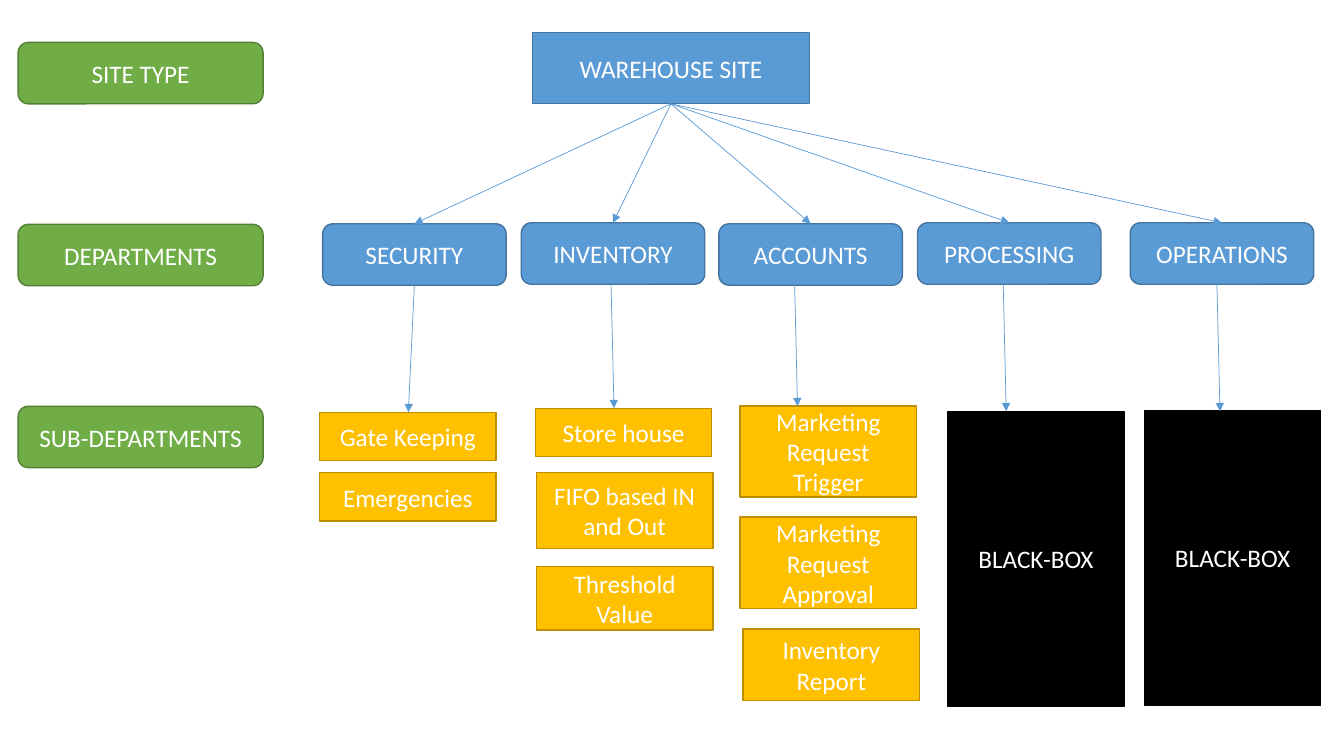
from dataclasses import dataclass
from typing import NamedTuple

from lxml.etree import SubElement
from pptx import Presentation
from pptx.dml.color import RGBColor as Color
from pptx.enum.shapes import MSO_CONNECTOR as Connector, MSO_SHAPE as Preset
from pptx.enum.text import MSO_ANCHOR as Anchor, PP_ALIGN as Align
from pptx.oxml.ns import qn
from pptx.util import Inches, Pt


@dataclass(frozen=True)
class Theme:
    font: str = "Calibri"
    text_size: float = 18
    outline: float = 1
    arrow_width: float = 0.5
    text: str = "FFFFFF"
    arrow: str = "5B9BD5"
    blue: tuple = ("5B9BD5", "43739E")
    green: tuple = ("70AD47", "538035")
    gold: tuple = ("FFC000", "BD8E00")
    black: tuple = ("000000", "000000")


class Department(NamedTuple):
    name: str
    left: float
    top: float
    arrow_start: tuple
    arrow_end: tuple
    colors: tuple
    units: list


THEME = Theme()
LEVEL_WIDTH, DEPARTMENT_WIDTH, UNIT_WIDTH = 2.43, 1.82, 1.75
ROUNDED_HEIGHT = 0.61
SITE_BOX = (5.28, 0.32, 2.75, 0.71)
LEVELS = ["SITE TYPE", "DEPARTMENTS", "SUB-DEPARTMENTS"]
LEVEL_TOP, LEVEL_PITCH = 0.42, 1.805

DEPARTMENTS = [
    Department("SECURITY", 3.2, 2.22, (4.11, 2.83), (4.05, 4.09), THEME.gold, [
        ("Gate Keeping", 3.17, 4.09, 0.48),
        ("Emergencies", 3.17, 4.69, 0.48),
    ]),
    Department("INVENTORY", 5.17, 2.21, (6.06, 2.79), (6.09, 4.05), THEME.gold, [
        ("Store house", 5.31, 4.05, 0.48),
        ("FIFO based IN and Out", 5.32, 4.69, 0.75),
        ("Threshold Value", 5.32, 5.62, 0.63),
    ]),
    Department("ACCOUNTS", 7.13, 2.22, (7.88, 2.77), (7.91, 4.03), THEME.gold, [
        ("Marketing Request Trigger", 7.34, 4.03, 0.9),
        ("Marketing\nRequest Approval", 7.34, 5.13, 0.91),
        ("Inventory Report", 7.37, 6.24, 0.71),
    ]),
    Department("PROCESSING", 9.1, 2.21, (9.95, 2.82), (9.98, 4.08), THEME.black, [
        ("BLACK-BOX", 9.4, 4.08, 2.93),
    ]),
    Department("OPERATIONS", 11.21, 2.21, (12.07, 2.82), (12.1, 4.08), THEME.black, [
        ("BLACK-BOX", 11.35, 4.07, 2.93),
    ]),
]


def write_text(frame, text, size=THEME.text_size, color=THEME.text, align=Align.CENTER):
    frame.word_wrap = True
    frame.vertical_anchor = Anchor.MIDDLE
    frame.text = text
    for paragraph in frame.paragraphs:
        paragraph.alignment = align
        font = paragraph.font
        for run in paragraph.runs:
            font = run.font
            font.name = THEME.font
            font.size = Pt(size)
            font.color.rgb = Color.from_string(color)


def add_box(slide, text, bounds, colors, preset=Preset.RECTANGLE):
    shape = slide.shapes.add_shape(preset, *map(Inches, bounds))
    fill, outline = map(Color.from_string, colors)
    shape.shadow.inherit = False
    shape.fill.solid()
    shape.fill.fore_color.rgb = fill
    shape.line.color.rgb = outline
    shape.line.width = Pt(THEME.outline)
    write_text(shape.text_frame, text)


def add_arrow(slide, start, end):
    arrow = slide.shapes.add_connector(Connector.STRAIGHT, *map(Inches, start + end))
    arrow.line.color.rgb = Color.from_string(THEME.arrow)
    arrow.line.width = Pt(THEME.arrow_width)
    SubElement(arrow.line._get_or_add_ln(), qn("a:tailEnd"), type="triangle")
    SubElement(arrow._element.spPr, qn("a:effectLst"))


def add_levels(slide):
    for index, name in enumerate(LEVELS):
        top = LEVEL_TOP + index * LEVEL_PITCH
        bounds = (0.18, top, LEVEL_WIDTH, ROUNDED_HEIGHT)
        add_box(slide, name, bounds, THEME.green, Preset.ROUNDED_RECTANGLE)


def add_department(slide, department):
    left, top = department.left, department.top
    bounds = (left, top, DEPARTMENT_WIDTH, ROUNDED_HEIGHT)
    add_box(slide, department.name, bounds, THEME.blue, Preset.ROUNDED_RECTANGLE)
    for text, unit_left, unit_top, height in department.units:
        add_box(slide, text, (unit_left, unit_top, UNIT_WIDTH, height), department.colors)
    site_left, site_top, site_width, site_height = SITE_BOX
    site_bottom = (site_left + site_width / 2, site_top + site_height)
    add_arrow(slide, site_bottom, (left + DEPARTMENT_WIDTH / 2, top))
    add_arrow(slide, department.arrow_start, department.arrow_end)


def main():
    presentation = Presentation()
    presentation.slide_width = Inches(13.33)
    presentation.slide_height = Inches(7.5)
    slide = presentation.slides.add_slide(presentation.slide_layouts[6])
    add_box(slide, "WAREHOUSE SITE", SITE_BOX, THEME.blue)
    add_levels(slide)
    for department in DEPARTMENTS:
        add_department(slide, department)
    presentation.save("out.pptx")


main()
